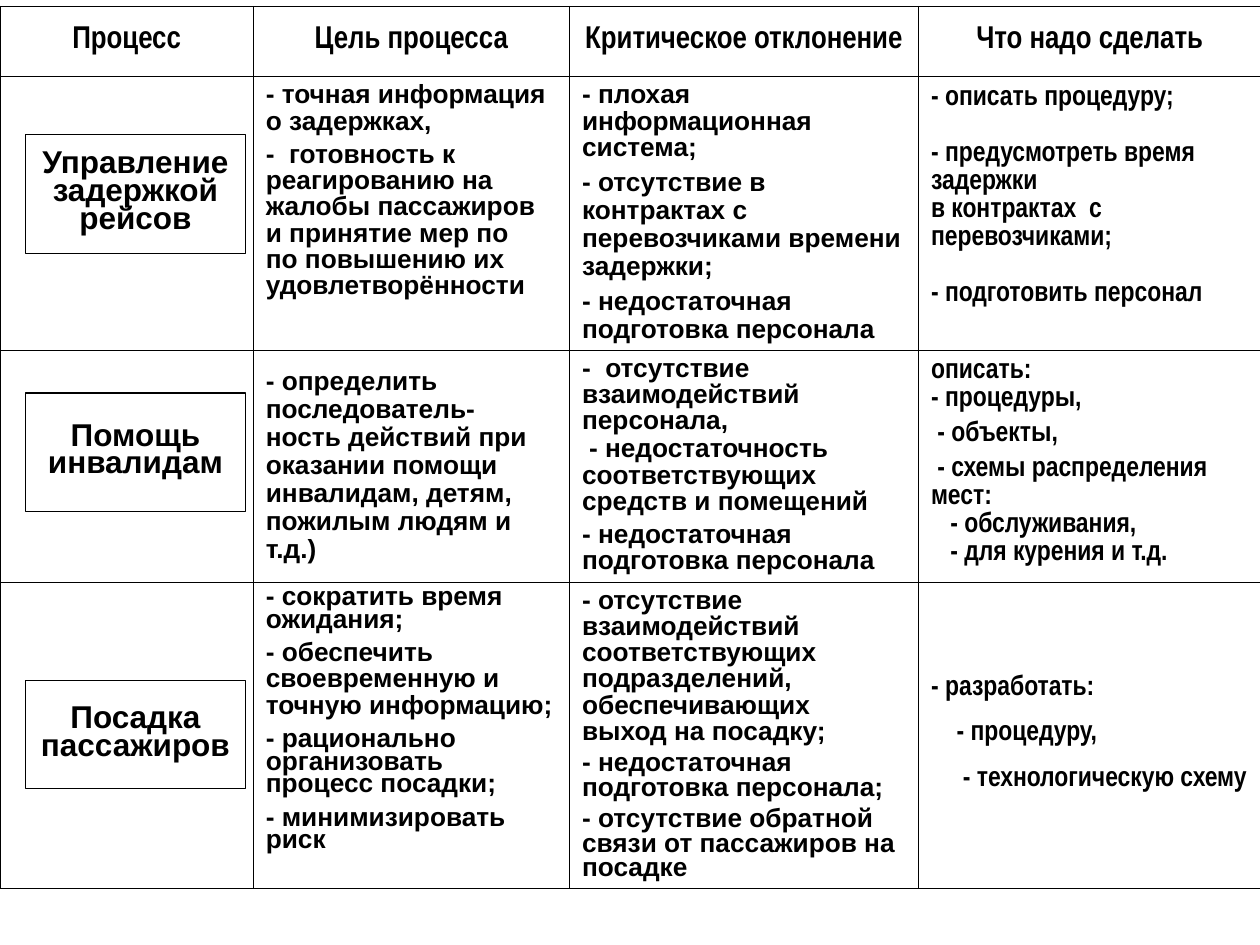
from lxml import etree
from pptx import Presentation
from pptx.dml.color import RGBColor
from pptx.enum.shapes import MSO_SHAPE
from pptx.enum.text import MSO_ANCHOR, PP_ALIGN
from pptx.oxml.ns import qn
from pptx.util import Inches, Pt

BLACK = RGBColor(0, 0, 0)
WHITE = RGBColor(255, 255, 255)
TOP, MIDDLE = MSO_ANCHOR.TOP, MSO_ANCHOR.MIDDLE
LEFT, CENTER = PP_ALIGN.LEFT, PP_ALIGN.CENTER
RECTANGLE = MSO_SHAPE.RECTANGLE
WIDE, NARROW = "Arial", "Arial Narrow"

prs = Presentation()
prs.slide_width, prs.slide_height = Inches(10), Inches(7.5)
slide = prs.slides.add_slide(prs.slide_layouts[6])


def write(frame, paragraphs, font=WIDE, size=15, align=LEFT):
    frame.word_wrap = True
    for number, (text, line, before, indent) in enumerate(paragraphs):
        paragraph = frame.paragraphs[0] if number == 0 else frame.add_paragraph()
        paragraph.alignment = align
        paragraph.line_spacing = Pt(line)
        paragraph.space_before = Pt(before)
        if indent:
            paragraph._p.get_or_add_pPr().set("indent", str(Pt(indent)))
        run = paragraph.add_run()
        run.text = text
        run.font.name, run.font.size, run.font.bold = font, Pt(size), True
        run.font.color.rgb = BLACK


def frame_cell(cell):
    cell.fill.solid()
    cell.fill.fore_color.rgb = WHITE
    properties = cell._tc.get_or_add_tcPr()
    for position, side in enumerate(("a:lnL", "a:lnR", "a:lnT", "a:lnB")):
        border = etree.Element(qn(side), w=str(Pt(0.45)))
        paint = etree.SubElement(border, qn("a:solidFill"))
        etree.SubElement(paint, qn("a:srgbClr"), val=str(BLACK))
        properties.insert(position, border)


headings = ["Процесс", "Цель процесса", "Критическое отклонение", "Что надо сделать"]

delay = [
    (TOP, [
        ("- точная информация о задержках,", 15, 0, 0),
        ("-  готовность к реагированию на жалобы пассажиров", 15, 4, 0),
        ("и принятие мер по", 15, 0, 0),
        ("по повышению их удовлетворённости", 15, 0, 0),
    ]),
    (TOP, [
        ("- плохая информационная система;", 15, 0, 0),
        ("- отсутствие в контрактах с перевозчиками времени задержки;", 16, 4, 0),
        ("- недостаточная подготовка персонала", 16, 4, 0),
    ]),
    (TOP, [
        ("- описать процедуру;", 16, 0, 0),
        ("- предусмотреть время задержки", 16, 16, 0),
        ("в контрактах  с перевозчиками;", 16, 0, 0),
        ("- подготовить персонал", 16, 16, 0),
    ]),
]

disabled = [
    (MIDDLE, [
        ("- определить последователь-", 16, 0, 0),
        ("ность действий при оказании помощи инвалидам, детям, пожилым людям и т.д.)",
         16, 0, 0),
    ]),
    (TOP, [
        ("-  отсутствие взаимодействий персонала,", 15, 0, 0),
        ("- недостаточность соответствующих средств и помещений", 15, 1, 4),
        ("- недостаточная подготовка персонала", 15, 4, 0),
    ]),
    (TOP, [
        ("описать:", 16, 0, 0),
        ("- процедуры,", 16, 0, 0),
        ("- объекты,", 16, 4, 3.6),
        ("- схемы распределения мест:", 16, 4, 3.6),
        ("- обслуживания,", 16, 0, 11),
        ("- для курения и т.д.", 16, 0, 11),
    ]),
]

boarding = [
    (TOP, [
        ("- сократить время ожидания;", 13, 0, 0),
        ("- обеспечить своевременную и точную информацию;", 15, 4, 0),
        ("- рационально", 15, 4, 0),
        ("организовать процесс посадки;", 13, 0, 0),
        ("- минимизировать", 15, 4, 0),
        ("риск", 13, 0, 0),
    ]),
    (MIDDLE, [
        ("- отсутствие взаимодействий соответствующих", 15, 0, 0),
        ("подразделений, обеспечивающих", 15, 0, 0),
        ("выход на посадку;", 15, 0, 0),
        ("- недостаточная подготовка персонала;", 14, 4, 0),
        ("- отсутствие обратной связи от пассажиров на посадке", 14, 4, 0),
    ]),
    (MIDDLE, [
        ("- разработать:", 13, 0, 0),
        ("- процедуру,", 13, 13, 14.6),
        ("- технологическую схему", 13, 13, 18.2),
    ]),
]

column_widths = [2.01, 2.51, 2.77, 2.72]
row_heights = [0.56, 2.17, 1.84, 2.43]
process_table = slide.shapes.add_table(
    len(row_heights), len(column_widths), 0, Inches(0.05),
    Inches(sum(column_widths)), Inches(sum(row_heights))).table
process_table.first_row = process_table.horz_banding = False
for column, width in zip(process_table.columns, column_widths):
    column.width = Inches(width)
for row, height in zip(process_table.rows, row_heights):
    row.height = Inches(height)
for cell in process_table.iter_cells():
    frame_cell(cell)

for column, heading in enumerate(headings):
    cell = process_table.cell(0, column)
    cell.vertical_anchor = MIDDLE
    write(cell.text_frame, [(heading, 16, 0, 0)], font=NARROW, size=18, align=CENTER)

for row, process in enumerate([delay, disabled, boarding], start=1):
    for column, (anchor, paragraphs) in enumerate(process, start=1):
        cell = process_table.cell(row, column)
        cell.vertical_anchor = anchor
        actions = column == 3
        write(cell.text_frame, paragraphs, font=NARROW if actions else WIDE,
              size=16 if actions else 15)

process_names = [
    (1.07, 0.94, ["Управление задержкой рейсов"]),
    (3.12, 0.94, ["Помощь инвалидам"]),
    (5.4, 0.86, ["Посадка", "пассажиров"]),
]
for top, height, lines in process_names:
    name_box = slide.shapes.add_shape(
        RECTANGLE, Inches(0.2), Inches(top), Inches(1.75), Inches(height))
    name_box.shadow.inherit = False
    name_box.fill.solid()
    name_box.fill.fore_color.rgb = WHITE
    name_box.line.color.rgb = BLACK
    name_box.line.width = Pt(0.75)
    name_box.text_frame.vertical_anchor = MIDDLE
    write(name_box.text_frame, [(line, 16, 0, 0) for line in lines],
          size=18, align=CENTER)

prs.save("out.pptx")
